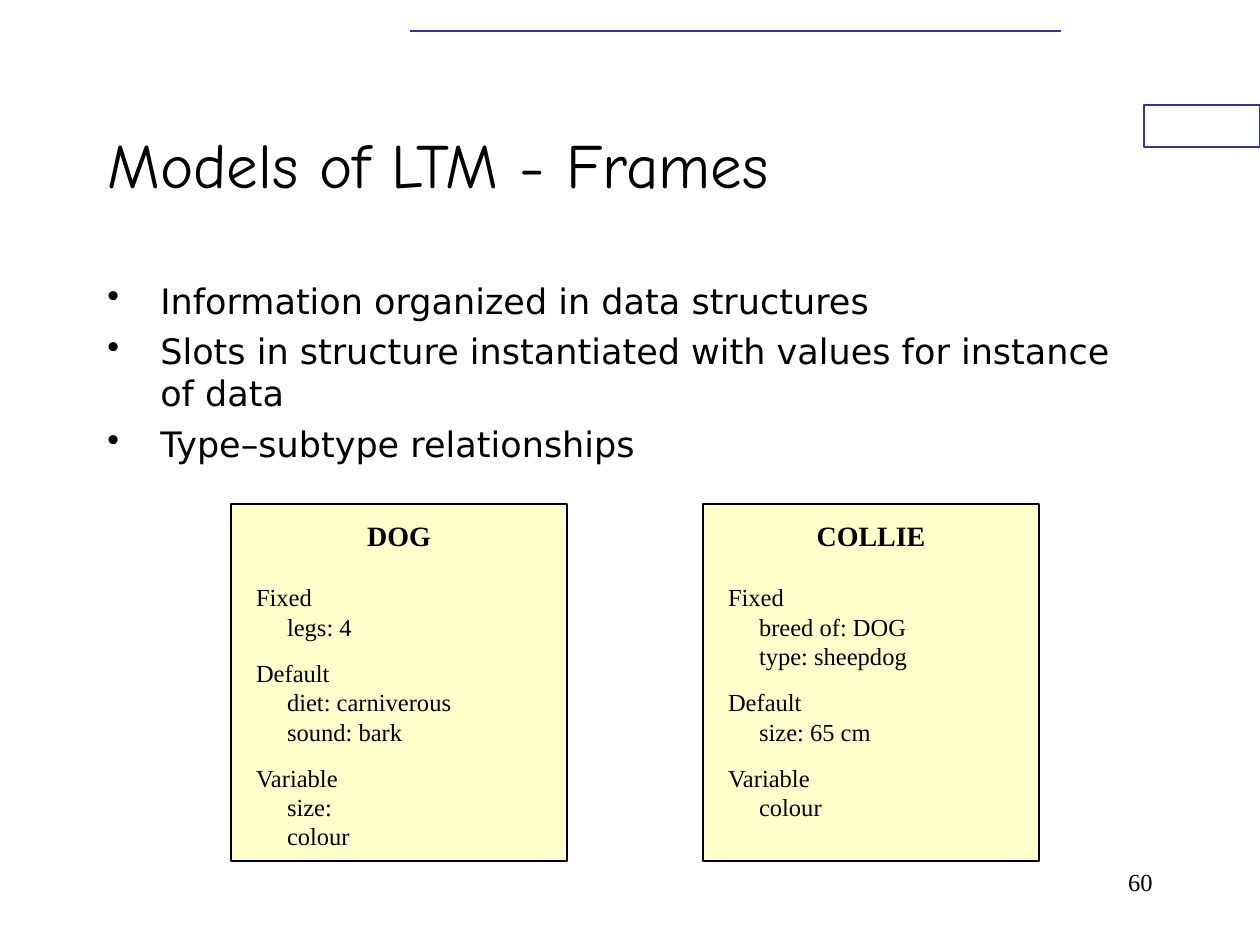
import pptx
import pptx.util
import pptx.dml.color
import pptx.enum.shapes
import pptx.enum.text
import pptx.oxml.ns
import lxml.etree

PX = 914400 / 126
SERIF = "Times New Roman"
ALIGN = pptx.enum.text.PP_ALIGN
ANCHOR = pptx.enum.text.MSO_ANCHOR

BULLETS = [
    "Information organized in data structures",
    "Slots in structure instantiated with values for instance of data",
    "Type–subtype relationships",
]
FRAMES = [
    ("DOG", {
        "Fixed": ["legs: 4"],
        "Default": ["diet: carniverous", "sound: bark"],
        "Variable": ["size:", "colour"],
    }),
    ("COLLIE", {
        "Fixed": ["breed of: DOG", "type: sheepdog"],
        "Default": ["size: 65 cm"],
        "Variable": ["colour"],
    }),
]


def px(n):
    return pptx.util.Emu(round(n * PX))


def rgb(color):
    return pptx.dml.color.RGBColor.from_string(color)


def add_text(tf, text, size=14, font=SERIF, bold=False, align=ALIGN.LEFT,
             before=0, indent=0, bullet=None):
    p = tf.paragraphs[0]
    if p.runs:
        p = tf.add_paragraph()
    p.alignment = align
    p.space_before = pptx.util.Pt(before)
    pPr = p._p.get_or_add_pPr()
    pPr.set("marL", str(px(indent)))
    if bullet:
        pPr.set("indent", str(-px(indent)))
        bu = lxml.etree.SubElement(pPr, pptx.oxml.ns.qn("a:buChar"))
        bu.set("char", bullet)
    r = p.add_run()
    r.text = text
    r.font.size = pptx.util.Pt(size)
    r.font.name = font
    r.font.bold = bold
    r.font.color.rgb = rgb("000000")


def add_textbox(s, x, y, w, h, anchor=ANCHOR.TOP):
    tf = s.shapes.add_textbox(px(x), px(y), px(w), px(h)).text_frame
    tf.word_wrap = True
    tf.vertical_anchor = anchor
    return tf


def add_box(s, x, y, w, h, fill, line, width):
    sp = s.shapes.add_shape(pptx.enum.shapes.MSO_SHAPE.RECTANGLE,
                            px(x), px(y), px(w), px(h))
    sp.shadow.inherit = False
    sp.fill.solid()
    sp.fill.fore_color.rgb = rgb(fill)
    sp.line.color.rgb = rgb(line)
    sp.line.width = pptx.util.Pt(width)
    return sp


def add_rule(s, x1, x2, y, color, width):
    line = s.shapes.add_connector(pptx.enum.shapes.MSO_CONNECTOR.STRAIGHT,
                                  px(x1), px(y), px(x2), px(y))
    line.line.color.rgb = rgb(color)
    line.line.width = pptx.util.Pt(width)
    lxml.etree.SubElement(line._element.spPr, pptx.oxml.ns.qn("a:effectLst"))


def add_frame(s, x, name, sections):
    tf = add_box(s, x, 504, 336, 357, "FFFFCC", "000000", 1.5).text_frame
    tf.word_wrap = True
    tf.vertical_anchor = ANCHOR.TOP
    tf.margin_left = tf.margin_right = px(25)
    tf.margin_top = px(15)
    add_text(tf, name, size=16, bold=True, align=ALIGN.CENTER)
    for i, (heading, slots) in enumerate(sections.items()):
        add_text(tf, heading, before=9.5 if i else 17)
        for slot in slots:
            add_text(tf, slot, indent=31)


def main():
    prs = pptx.Presentation()
    prs.slide_width = pptx.util.Inches(10)
    prs.slide_height = pptx.util.Inches(7.5)
    s = prs.slides.add_slide(prs.slide_layouts[6])

    add_box(s, 1144, 105, 116, 42, "FFFFFF", "333399", 0.75)
    add_rule(s, 410, 1061, 31, "333399", 1)

    title = add_textbox(s, 95, 84, 945, 158, anchor=ANCHOR.MIDDLE)
    add_text(title, "Models of LTM - Frames", size=36, font="Comic Neue")

    body = add_textbox(s, 95, 273, 1071, 221)
    for text in BULLETS:
        add_text(body, text, size=20, font="DejaVu Sans", before=5,
                 indent=53, bullet="•")

    for i, (name, sections) in enumerate(FRAMES):
        add_frame(s, 231 + i * 472, name, sections)

    number = add_textbox(s, 903, 861, 262, 63)
    add_text(number, "60", align=ALIGN.RIGHT)

    prs.save("out.pptx")


if __name__ == "__main__":
    main()
